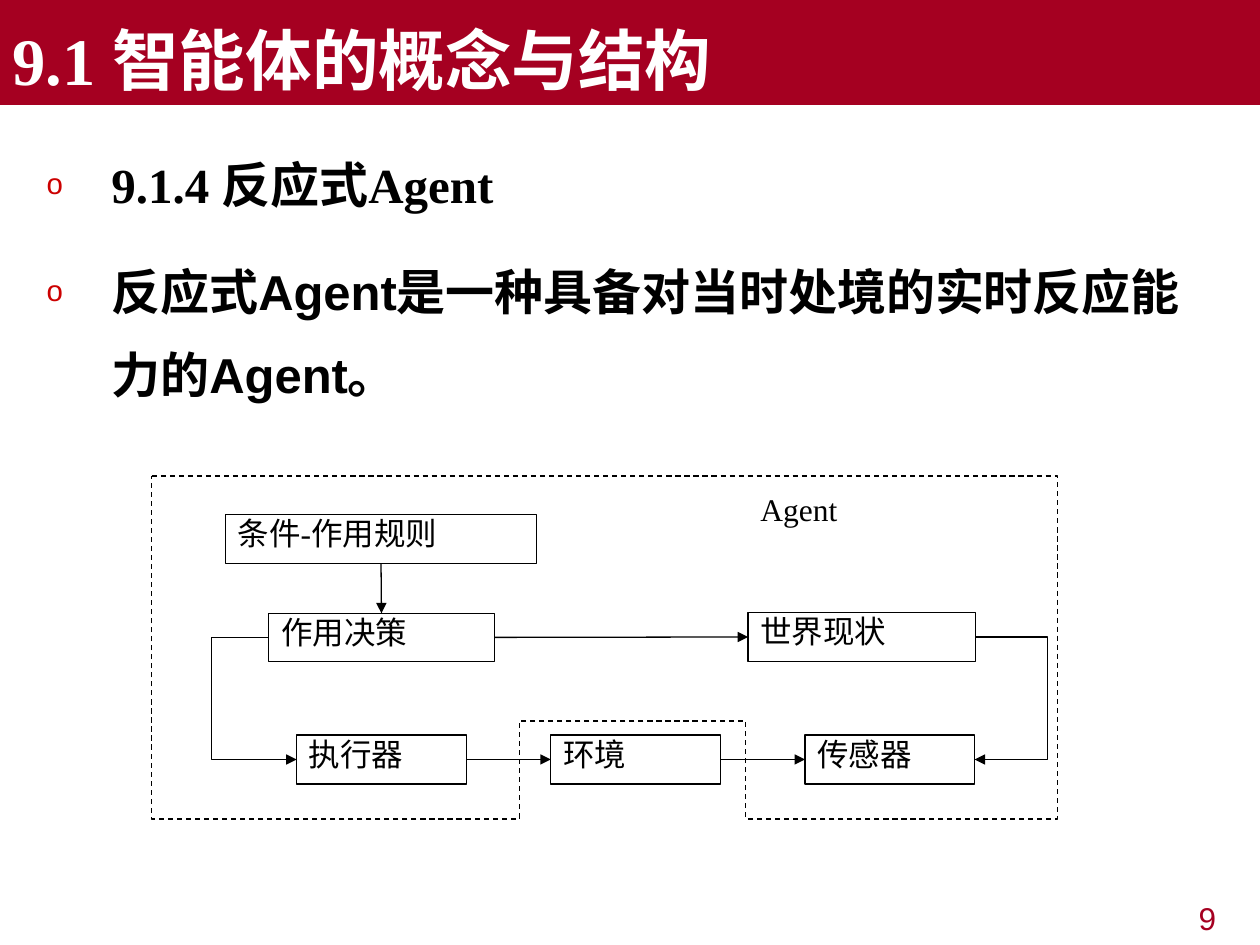
from dataclasses import dataclass

from lxml.etree import SubElement
from pptx import Presentation
from pptx.dml.color import RGBColor
from pptx.enum.dml import MSO_LINE
from pptx.enum.shapes import MSO_CONNECTOR, MSO_SHAPE
from pptx.enum.text import MSO_ANCHOR, MSO_AUTO_SIZE, PP_ALIGN
from pptx.oxml.ns import qn
from pptx.util import Pt

TOP, LEFT, BOTTOM, RIGHT = range(4)


@dataclass(frozen=True)
class Theme:
    """Colours, typefaces and type sizes of the slide."""

    crimson: str = "A50021"
    bullet: str = "CC0000"
    black: str = "000000"
    white: str = "FFFFFF"
    serif: str = "Times New Roman"
    sans: str = "Arial"
    title_size: float = 38
    body_size: float = 28
    label_size: float = 18
    line_width: float = 0.75


class SlideBuilder:
    """Draws styled elements on one slide."""

    def __init__(self, page, theme):
        """Keep the slide and its theme."""
        self.page = page
        self.theme = theme

    def place(self, shape, left, top, width, height):
        """Move and size a shape, in points."""
        shape.left, shape.top = Pt(left), Pt(top)
        shape.width, shape.height = Pt(width), Pt(height)

    def set_font(self, para, name, size, color, bold=False):
        """Format a whole paragraph."""
        font = para.font
        font.name, font.size, font.bold = name, Pt(size), bold
        font.color.rgb = RGBColor.from_string(color)

    def set_line(self, line):
        """Give an outline the diagram's stroke."""
        line.color.rgb = RGBColor.from_string(self.theme.black)
        line.width = Pt(self.theme.line_width)

    def title(self, text, *frame):
        """Fill the title placeholder as a banner."""
        shape = self.page.shapes.title
        self.place(shape, *frame)
        shape.fill.solid()
        shape.fill.fore_color.rgb = RGBColor.from_string(self.theme.crimson)
        box = shape.text_frame
        box.text = text
        box.auto_size = MSO_AUTO_SIZE.NONE
        box.vertical_anchor = MSO_ANCHOR.BOTTOM
        para = box.paragraphs[0]
        para.alignment = PP_ALIGN.LEFT
        self.set_font(para, self.theme.serif, self.theme.title_size, self.theme.white, True)

    def bullet(self, para):
        """Add the hanging round bullet to a paragraph."""
        properties = para._p.get_or_add_pPr()
        properties.set("marL", str(Pt(37)))
        properties.set("indent", str(-Pt(37)))
        color = SubElement(properties, qn("a:buClr"))
        SubElement(color, qn("a:srgbClr"), val=self.theme.bullet)
        SubElement(properties, qn("a:buSzPct"), val="60000")
        SubElement(properties, qn("a:buFont"), typeface=self.theme.sans)
        SubElement(properties, qn("a:buChar"), char="o")

    def body(self, items, *frame):
        """Fill the body placeholder with (text, typeface) items."""
        shape = self.page.placeholders[1]
        self.place(shape, *frame)
        box = shape.text_frame
        box.text = "\n".join(text for text, _ in items)
        box.auto_size = MSO_AUTO_SIZE.NONE
        for index, (para, (_, name)) in enumerate(zip(box.paragraphs, items)):
            self.bullet(para)
            para.line_spacing = 1.4
            para.space_before = Pt(14 if index else 0)
            self.set_font(para, name, self.theme.body_size, self.theme.black, True)

    def set_label(self, shape, text, name, color, alignment, inset):
        """Put one line of label text in a shape."""
        box = shape.text_frame
        box.text = text
        box.word_wrap = True
        box.vertical_anchor = MSO_ANCHOR.TOP
        box.margin_top = Pt(inset)
        para = box.paragraphs[0]
        para.alignment = alignment
        self.set_font(para, name, self.theme.label_size, color)

    def label(self, text, *frame):
        """Add a plain diagram label."""
        shape = self.page.shapes.add_textbox(*map(Pt, frame))
        self.set_label(shape, text, self.theme.serif, self.theme.black, PP_ALIGN.JUSTIFY, 0)

    def page_number(self, text, *frame):
        """Add the page number."""
        shape = self.page.shapes.add_textbox(*map(Pt, frame))
        self.set_label(shape, text, self.theme.sans, self.theme.crimson, PP_ALIGN.RIGHT, 3.6)

    def process(self, text, *frame):
        """Add a process box and return it."""
        shape = self.page.shapes.add_shape(MSO_SHAPE.FLOWCHART_PROCESS, *map(Pt, frame))
        shape.shadow.inherit = False
        shape.fill.solid()
        shape.fill.fore_color.rgb = RGBColor.from_string(self.theme.white)
        self.set_line(shape.line)
        self.set_label(shape, text, self.theme.serif, self.theme.black, PP_ALIGN.JUSTIFY, 0)
        return shape

    def arrow(self, start, start_side, end, end_side, bend_x=None):
        """Join two boxes, bending at a given x if there is one."""
        kind = MSO_CONNECTOR.STRAIGHT if bend_x is None else MSO_CONNECTOR.ELBOW
        connector = self.page.shapes.add_connector(kind, 0, 0, 0, 0)
        connector.begin_connect(start, start_side)
        connector.end_connect(end, end_side)
        self.set_line(connector.line)
        SubElement(connector.line._get_or_add_ln(), qn("a:tailEnd"), type="triangle")
        properties = connector._element.spPr
        SubElement(properties, qn("a:effectLst"))
        if bend_x is not None:
            span = connector.end_x - connector.begin_x
            ratio = round((Pt(bend_x) - connector.begin_x) / span * 100000)
            guides = properties.find(qn("a:prstGeom")).get_or_add_avLst()
            SubElement(guides, qn("a:gd"), name="adj1", fmla=f"val {ratio}")

    def boundary(self, points):
        """Draw a closed dashed outline."""
        corners = [(Pt(x), Pt(y)) for x, y in points]
        builder = self.page.shapes.build_freeform(*corners[0])
        builder.add_line_segments(corners[1:], close=True)
        shape = builder.convert_to_shape()
        shape.shadow.inherit = False
        shape.fill.background()
        self.set_line(shape.line)
        shape.line.dash_style = MSO_LINE.DASH


def main():
    """Build and save the slide."""
    deck = Presentation()
    deck.slide_width, deck.slide_height = Pt(720), Pt(540)
    theme = Theme()
    slide = SlideBuilder(deck.slides.add_slide(deck.slide_layouts[1]), theme)

    slide.page_number("9", 546, 510, 156, 28)
    slide.body(
        [
            ("9.1.4 反应式Agent", theme.serif),
            ("反应式Agent是一种具备对当时处境的实时反应能力的Agent。", theme.sans),
        ],
        19.5, 71.5, 680.5, 425.5,
    )
    slide.title("9.1 智能体的概念与结构", 0, 0, 720, 60)

    actuator, environment, sensor = (
        slide.process(text, 169.5 + 145.25 * column, 420, 97, 28)
        for column, text in enumerate(["执行器", "环境", "传感器"])
    )
    rules = slide.process("条件-作用规则", 128.75, 294, 178, 28)
    decision = slide.process("作用决策", 153.5, 350.5, 129, 27.5)
    world = slide.process("世界现状", 427.5, 350, 130, 28)

    slide.arrow(decision, LEFT, actuator, LEFT, 121)
    slide.arrow(actuator, RIGHT, environment, LEFT)
    slide.arrow(environment, RIGHT, sensor, LEFT)
    slide.arrow(decision, RIGHT, world, LEFT)
    slide.arrow(world, RIGHT, sensor, RIGHT, 597.75)
    slide.arrow(rules, BOTTOM, decision, TOP)

    slide.label("Agent", 427.5, 280, 81, 42)
    slide.boundary([
        (86.75, 272), (604.25, 272), (604.25, 468), (426.25, 468),
        (426.25, 412), (296.75, 412), (296.75, 468), (86.75, 468),
    ])
    deck.save("out.pptx")


if __name__ == "__main__":
    main()
